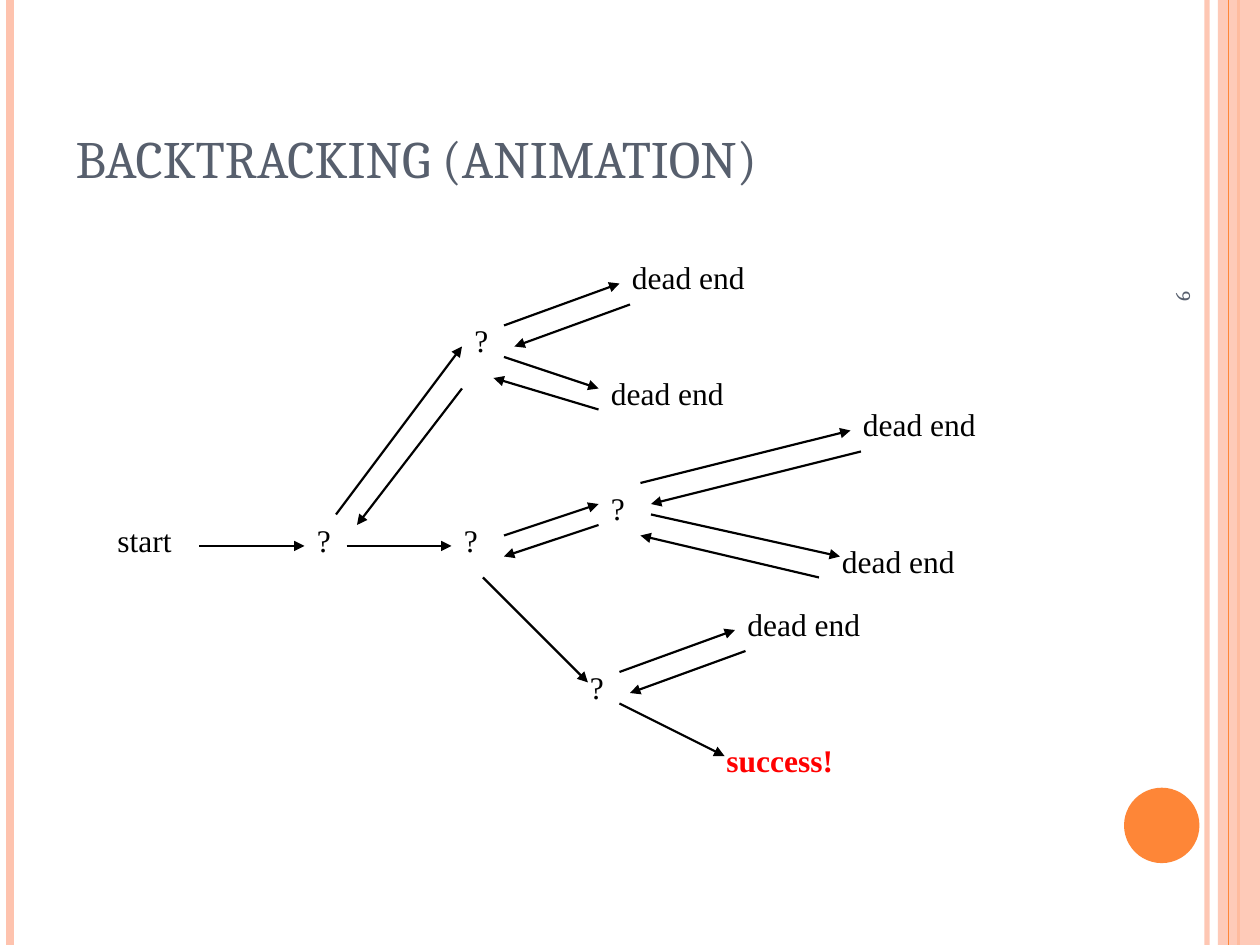
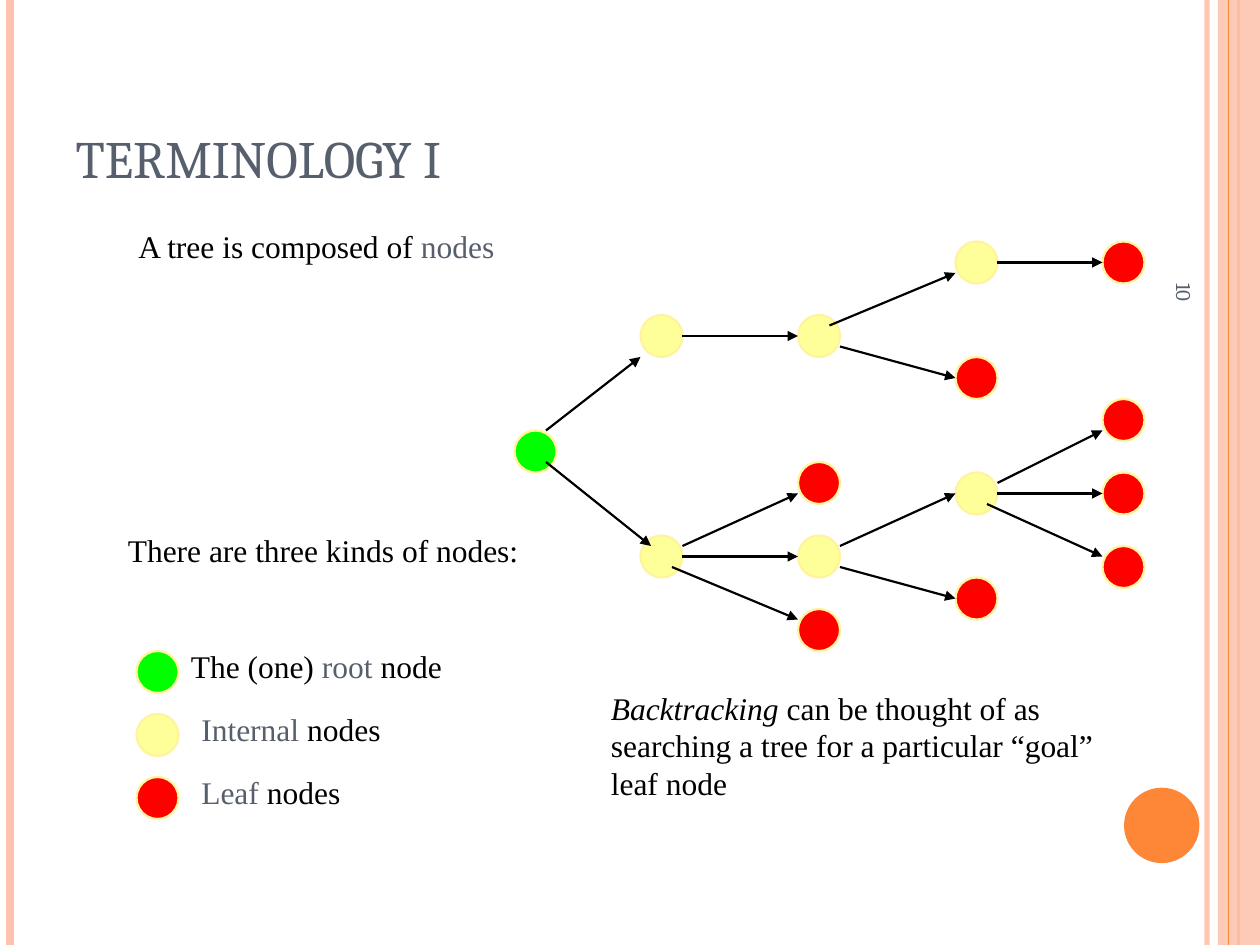
from lxml.etree import SubElement
from pptx import Presentation
from pptx.dml.color import RGBColor
from pptx.enum.shapes import MSO_CONNECTOR as Connector, MSO_SHAPE as Shape
from pptx.enum.text import MSO_ANCHOR as Anchor, MSO_AUTO_SIZE as AutoSize, PP_ALIGN as Align
from pptx.oxml.ns import qn
from pptx.util import Cm, Pt

# ---- Shared look ----
COLORS = {
    "ink": "000000", "slate": "575F6D", "peach": "FEC3AE", "orange": "FE8637",
    "rim": "FFF39D", "root": "00FF00", "internal": "FFFF99", "leaf": "FF0000",
    "success": "FF0000",
}
HEADING_FONT, BODY_FONT = "Cambria", "Times New Roman"
SLIDE_W, SLIDE_H = Cm(25.4), Cm(19.05)
CELL = Cm(2.54) / 12          # both diagrams sit on this square grid
TEXT_ROWS = 4.8               # grid rows taken by a one-line text box
NODE = 4                      # node diameter in grid cells

# Side rules: x in cm, width in points, colour, opacity in percent
RULES_BEHIND_BAND = [(24.33, 3, "peach", 93), (0.21, 4.5, "peach", 100),
                     (24.97, 1.5, "orange", 100)]
RULES_OVER_BAND = [(24.77, 0.75, "orange", 100)]

# ---- Slide 9: search with dead ends (places in grid cells) ----
BACKTRACKING = {
    "number": "9",
    "title": "BACKTRACKING (ANIMATION)",
    "start": (10, 49),
    "choices": [(29, 49), (44, 30), (43, 49), (57, 46), (55, 63)],
    "dead ends": [(57, 35), (59, 24), (79, 51), (81, 38), (70, 57)],
    "success": (68, 70),
    "forward": [
        (19, 52, 29, 52), (32, 49, 44, 33), (33, 52, 43, 52), (48, 31, 59, 27),
        (48, 34, 57, 37), (48, 51, 57, 48), (61, 46, 81, 41), (62, 49, 80, 53),
        (46, 55, 56, 65), (59, 64, 70, 60), (59, 67, 69, 72),
    ],
    "back": [
        (60, 29, 49, 33), (57, 39, 47, 36), (44, 37, 34, 50), (82, 43, 62, 48),
        (78, 55, 61, 51), (57, 50, 48, 53), (71, 62, 60, 66),
    ],
}

# ---- Slide 10: tree vocabulary; a text is a list of (words, style) ----
TERMINOLOGY = {
    "number": "10",
    "title": "TERMINOLOGY I",
    "nodes": {
        "root": [(49, 41)],
        "internal": [(61, 30), (76, 30), (91, 23), (61, 51), (76, 51), (91, 45)],
        "leaf": [(76, 44), (91, 34), (91, 55), (76, 58),
                 (105, 23), (105, 38), (105, 45), (105, 52)],
    },
    "edges": [
        (52, 44, 62, 52), (52, 41, 61, 34), (65, 32, 76, 32), (79, 31, 91, 26),
        (80, 33, 91, 36), (95, 25, 105, 25), (65, 52, 76, 47), (65, 53, 76, 53),
        (64, 54, 76, 59), (80, 52, 91, 47), (80, 54, 91, 57), (95, 46, 105, 41),
        (95, 47, 105, 47), (94, 48, 105, 53),
    ],
    # column, row, width, height, text
    "statements": [
        (11, 50, 42, TEXT_ROWS, [("There are three kinds of nodes:", "plain")]),
        (12, 21, 50, TEXT_ROWS, [("A tree is composed of ", "plain"), ("nodes", "term")]),
        (57, 65, 53, 12, [("Backtracking", "italic"),
                          (" can be thought of as searching a tree for a "
                           "particular “goal” leaf node", "plain")]),
    ],
    # node kind, label column, label
    "legend": [
        ("root", 17, [("The (one) ", "plain"), ("root", "term"), (" node", "plain")]),
        ("internal", 18, [("Internal", "term"), (" nodes", "plain")]),
        ("leaf", 18, [("Leaf", "term"), (" nodes", "plain")]),
    ],
}
LEGEND_COL, LEGEND_ROW, LEGEND_STEP = 13, 62, 6


# ---- Drawing helpers ----
def rgb(name):
    return RGBColor.from_string(COLORS[name])


def grid(*cells):
    return [round(cell * CELL) for cell in cells]


def set_opacity(fill_owner, percent):
    for color in fill_owner.iter(qn("a:srgbClr")):
        SubElement(color, qn("a:alpha")).set("val", str(percent * 1000))


def add_line(shapes, ends, color, width):
    line = shapes.add_connector(Connector.STRAIGHT, *ends)
    line.line.color.rgb = rgb(color)
    line.line.width = Pt(width)
    SubElement(line._element.spPr, qn("a:effectLst"))
    return line


def add_arrow(shapes, cells):
    arrow = add_line(shapes, grid(*cells), "ink", 1.25)
    SubElement(arrow.line._get_or_add_ln(), qn("a:tailEnd")).set("type", "triangle")


def add_filled(shapes, kind, box, color, rim=None):
    shape = shapes.add_shape(kind, *box)
    shape.shadow.inherit = False
    shape.fill.solid()
    shape.fill.fore_color.rgb = rgb(color)
    if rim:
        shape.line.color.rgb = rgb(rim)
        shape.line.width = Pt(1.25)
    else:
        shape.line.fill.background()
    return shape


def add_node(shapes, kind, col, row):
    add_filled(shapes, Shape.OVAL, grid(col, row, NODE, NODE), kind, "rim")


def add_text(shapes, col, row, width, height, pieces):
    frame = shapes.add_textbox(*grid(col, row, width, height)).text_frame
    frame.word_wrap = True
    frame.auto_size = AutoSize.SHAPE_TO_FIT_TEXT
    paragraph = frame.paragraphs[0]
    paragraph.font.name, paragraph.font.size = BODY_FONT, Pt(18)
    for words, style in pieces:
        run = paragraph.add_run()
        run.text = words
        run.font.color.rgb = rgb({"term": "slate", "success": "success"}.get(style, "ink"))
        if style == "italic":
            run.font.italic = True
        if style == "success":
            run.font.bold = True


def style_heading(frame, text, size, anchor, align):
    frame.text = text
    frame.word_wrap = True
    frame.auto_size = AutoSize.NONE
    frame.vertical_anchor = anchor
    paragraph = frame.paragraphs[0]
    paragraph.alignment = align
    paragraph.font.name, paragraph.font.size = HEADING_FONT, Pt(size)
    paragraph.font.color.rgb = rgb("slate")


def add_rules(shapes, rules):
    for x, width, color, opacity in rules:
        rule = add_line(shapes, (Cm(x), 0, Cm(x), SLIDE_H), color, width)
        if opacity < 100:
            set_opacity(rule._element, opacity)


def add_framed_slide(deck, content):
    """Slide with side bands, page number and title; returns its shapes."""
    shapes = deck.slides.add_slide(deck.slide_layouts[5]).shapes

    add_rules(shapes, RULES_BEHIND_BAND)
    band = add_filled(shapes, Shape.RECTANGLE, (Cm(24.55), 0, SLIDE_W - Cm(24.55), SLIDE_H), "peach")
    set_opacity(band._element.spPr, 87)
    add_rules(shapes, RULES_OVER_BAND)
    add_filled(shapes, Shape.OVAL, (Cm(22.66), Cm(15.88), Cm(1.52), Cm(1.52)), "orange")

    number = shapes.add_textbox(Cm(21.08), Cm(3), Cm(5.59), Cm(1.07))
    number.rotation = 90
    style_heading(number.text_frame, content["number"], 12, Anchor.MIDDLE, Align.RIGHT)

    title = shapes.title
    title.left, title.top, title.width, title.height = Cm(1.27), Cm(0.76), Cm(20.75), Cm(3.18)
    style_heading(title.text_frame, content["title"], 30, Anchor.BOTTOM, Align.LEFT)
    return shapes


# ---- Slides ----
def build_backtracking(deck):
    content = BACKTRACKING
    shapes = add_framed_slide(deck, content)
    labels = [("start", 10, "plain", [content["start"]]),
              ("?", 6, "plain", content["choices"]),
              ("dead end", 21, "plain", content["dead ends"]),
              ("success!", 21, "success", [content["success"]])]
    for words, width, style, places in labels:
        for col, row in places:
            add_text(shapes, col, row, width, TEXT_ROWS, [(words, style)])
    for step in content["forward"] + content["back"]:
        add_arrow(shapes, step)


def build_terminology(deck):
    content = TERMINOLOGY
    shapes = add_framed_slide(deck, content)

    tree = shapes.add_group_shape().shapes
    for kind, places in content["nodes"].items():
        for place in places:
            add_node(tree, kind, *place)
    for edge in content["edges"]:
        add_arrow(tree, edge)

    for statement in content["statements"]:
        add_text(shapes, *statement)

    for index, (kind, label_col, label) in enumerate(content["legend"]):
        row = LEGEND_ROW + index * LEGEND_STEP
        entry = shapes.add_group_shape().shapes
        add_node(entry, kind, LEGEND_COL, row)
        add_text(entry, label_col, row - 1, 31, TEXT_ROWS, label)


def main():
    deck = Presentation()
    deck.slide_width, deck.slide_height = SLIDE_W, SLIDE_H
    build_backtracking(deck)
    build_terminology(deck)
    deck.save("out.pptx")


if __name__ == "__main__":
    main()
